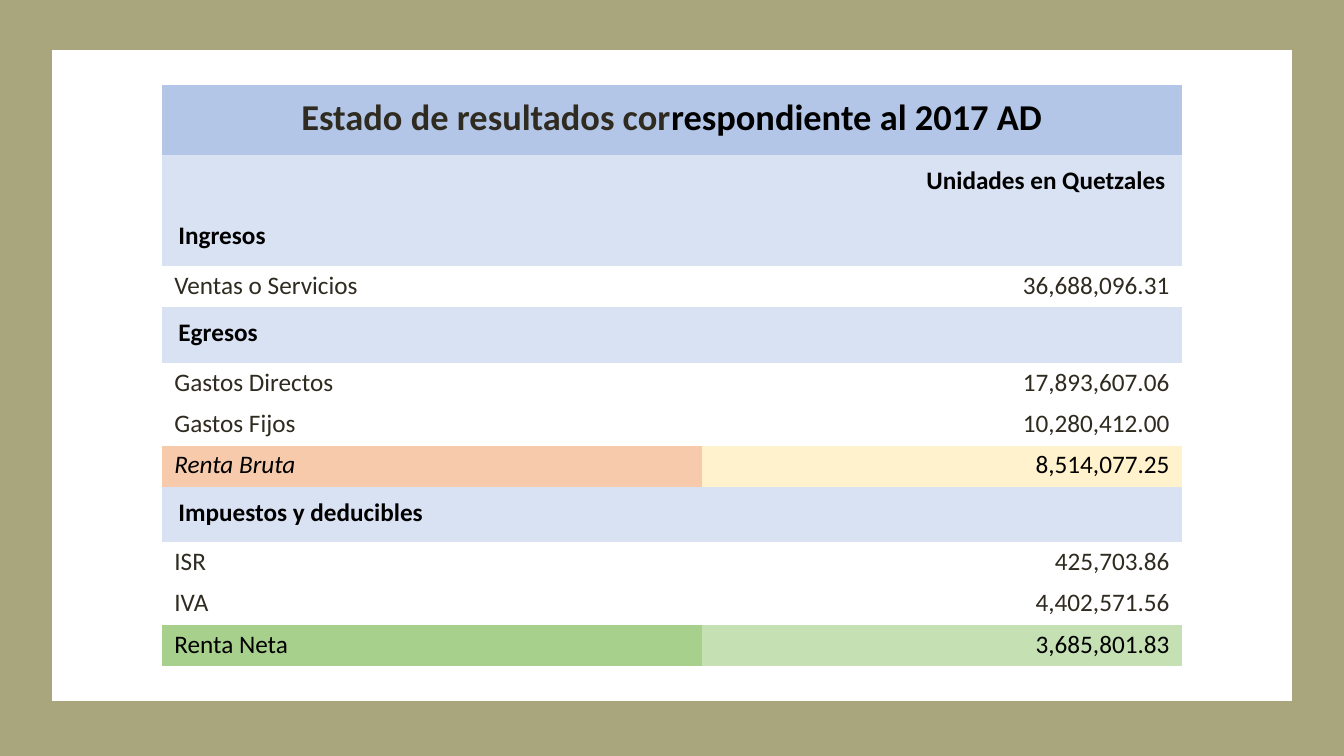
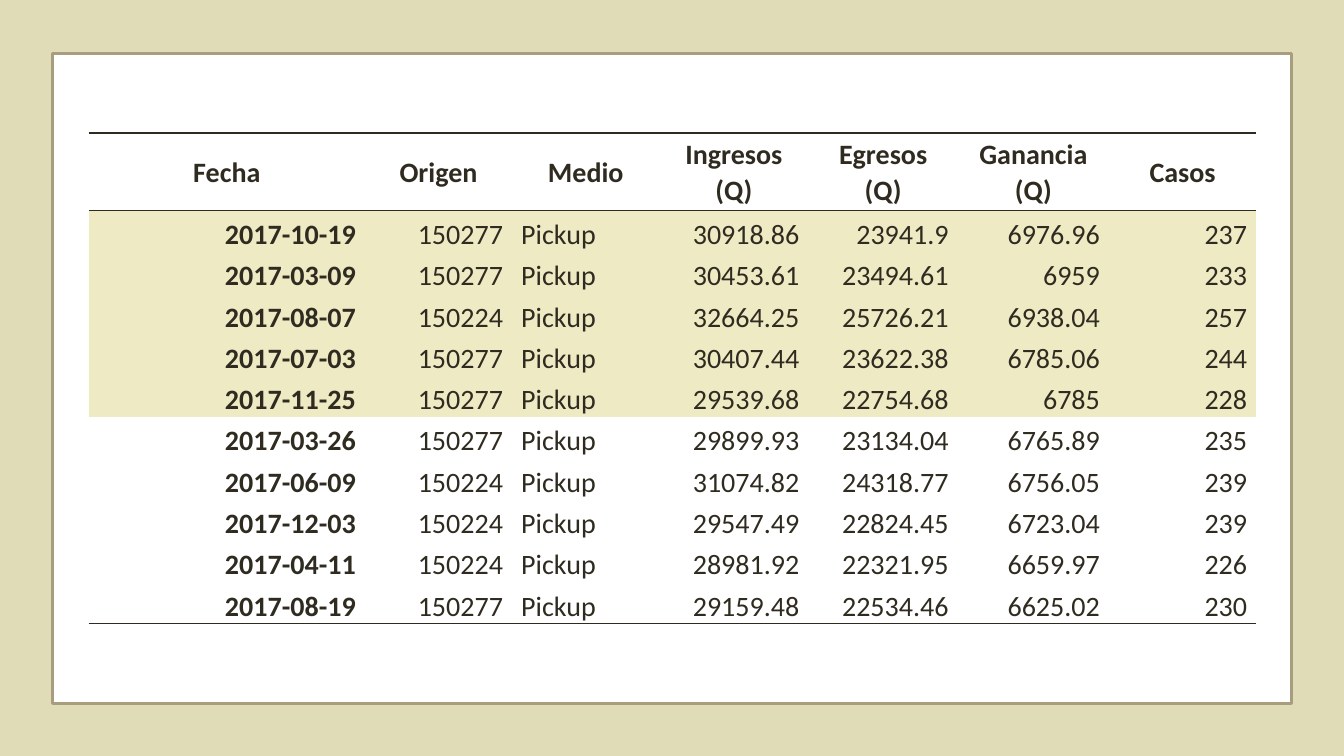
from dataclasses import dataclass

import pptx
import pptx.dml.color
import pptx.enum.shapes
import pptx.enum.text
import pptx.oxml
import pptx.oxml.ns
import pptx.util

Inches = pptx.util.Inches
Pt = pptx.util.Pt
ALIGN = pptx.enum.text.PP_ALIGN
ANCHOR = pptx.enum.text.MSO_ANCHOR

FONT = "Calibri"
WIDTH, HEIGHT = 13.33, 7.5
PLAIN_TABLE = "{2D5ABB26-0587-4C30-8999-92F81FD0307C}"
COLORS = {
    "ink": "2F2B20", "black": "000000", "white": "FFFFFF",
    "olive": "A9A57C", "sand": "DFDCB7", "frame": "A89D7F",
    "title": "B4C6E7", "section": "D9E2F3",
    "gross": "F7CAAC", "gross_value": "FFF2CC",
    "net": "A8D08D", "net_value": "C5E0B3", "top": "EDEAC4",
}


@dataclass
class Panel:
    back: str
    top: float
    line: str
    line_width: float


@dataclass
class CellStyle:
    size: int
    color: str = "ink"
    bold: bool = False
    italic: bool = False
    align: ALIGN = ALIGN.LEFT
    anchor: ANCHOR = ANCHOR.TOP
    fill: str | None = None
    margins: tuple[float, float] = (0.09, 0)  # sides, top
    bottom: float = 0
    space_after: int = 0
    borders: tuple[str, ...] = ()


@dataclass
class Line:
    """One row of the income statement; banner rows span both columns."""
    label: str
    value: str = ""
    color: str = "ink"
    fills: tuple[str | None, str | None] = (None, None)
    italic: bool = False


def rgb(name: str) -> pptx.dml.color.RGBColor:
    return pptx.dml.color.RGBColor.from_string(COLORS[name])


def add_rect(s, box: tuple, fill: str, line: str | None = None, width: float = 0):
    sp = s.shapes.add_shape(pptx.enum.shapes.MSO_SHAPE.RECTANGLE, *map(Inches, box))
    sp.shadow.inherit = False
    sp.fill.solid()
    sp.fill.fore_color.rgb = rgb(fill)
    if line:
        sp.line.color.rgb = rgb(line)
        sp.line.width = Pt(width)
    else:
        sp.line.fill.background()


def add_slide(prs, panel: Panel):
    s = prs.slides.add_slide(prs.slide_layouts[6])
    add_rect(s, (0, 0, WIDTH, HEIGHT), panel.back)
    add_rect(s, (0.52, panel.top, 12.29, 6.45), "white", panel.line, panel.line_width)
    return s


def add_table(s, left: float, top: float, cols: list[float], rows: list[float]):
    box = map(Inches, (left, top, sum(cols), sum(rows)))
    table = s.shapes.add_table(len(rows), len(cols), *box).table
    table.first_row = table.horz_banding = False
    table._tbl.tblPr.find(pptx.oxml.ns.qn("a:tableStyleId")).text = PLAIN_TABLE
    for col, width in zip(table.columns, cols):
        col.width = Inches(width)
    for row, height in zip(table.rows, rows):
        row.height = Inches(height)
    return table


def add_border(cell, index: int, side: str):
    ln = pptx.oxml.parse_xml(
        f'<a:ln{side} {pptx.oxml.ns.nsdecls("a")} w="{Pt(1)}"><a:solidFill>'
        f'<a:srgbClr val="{COLORS["ink"]}"/></a:solidFill></a:ln{side}>')
    cell._tc.get_or_add_tcPr().insert(index, ln)


def format_run(r, style: CellStyle, color: str):
    r.font.name = FONT
    r.font.size = Pt(style.size)
    r.font.bold = style.bold
    r.font.italic = style.italic
    r.font.color.rgb = rgb(color)


def fill_cell(cell, text: str, style: CellStyle):
    cell.text_frame.text = text
    cell.vertical_anchor = style.anchor
    side, top = style.margins
    cell.margin_left = cell.margin_right = Inches(side)
    cell.margin_top, cell.margin_bottom = Inches(top), Inches(style.bottom)
    p = cell.text_frame.paragraphs[0]
    p.alignment = style.align
    p.line_spacing = 1.07
    p.space_after = Pt(style.space_after)
    for r in p.runs:
        format_run(r, style, style.color)
    if style.fill:
        cell.fill.solid()
        cell.fill.fore_color.rgb = rgb(style.fill)
    else:
        cell.fill.background()
    for index, border in enumerate(style.borders):
        add_border(cell, index, border)


prs = pptx.Presentation()
prs.slide_width, prs.slide_height = Inches(WIDTH), Inches(HEIGHT)

# Income statement
TITLE, UNITS = "Estado de resultados cor", "Unidades en Quetzales"
STATEMENT = [
    Line(TITLE),
    Line(UNITS),
    Line("Ingresos"),
    Line("Ventas o Servicios", "36,688,096.31"),
    Line("Egresos"),
    Line("Gastos Directos", "17,893,607.06"),
    Line("Gastos Fijos", "10,280,412.00"),
    Line("Renta Bruta", "8,514,077.25", "black", ("gross", "gross_value"), True),
    Line("Impuestos y deducibles"),
    Line("ISR", "425,703.86"),
    Line("IVA", "4,402,571.56"),
    Line("Renta Neta", "3,685,801.83", "black", ("net", "net_value")),
]

s = add_slide(prs, Panel("olive", 0.5, "white", 0.85))
heights = [0.41 if line.value else 0.55 for line in STATEMENT]
heights[0] = 0.7
table = add_table(s, 1.61, 0.84, [5.35, 4.76], heights)
banner_aligns = {TITLE: ALIGN.CENTER, UNITS: ALIGN.RIGHT}
for i, line in enumerate(STATEMENT):
    label, value = table.cell(i, 0), table.cell(i, 1)
    if line.value:
        for cell, text, fill, align in zip(
                (label, value), (line.label, line.value), line.fills,
                (ALIGN.LEFT, ALIGN.RIGHT)):
            fill_cell(cell, text, CellStyle(
                18, line.color, italic=line.italic and cell is label, align=align,
                fill=fill, margins=(0.12, 0.02), space_after=8))
    else:
        label.merge(value)
        is_title = line.label == TITLE
        style = CellStyle(
            26 if is_title else 18, "ink" if is_title else "black", bold=True,
            align=banner_aligns.get(line.label, ALIGN.LEFT),
            fill="title" if is_title else "section",
            margins=(0.16, 0.08), bottom=0.08, space_after=8)
        fill_cell(label, line.label, style)
        if is_title:
            r = label.text_frame.paragraphs[0].add_run()
            r.text = "respondiente al 2017 AD"
            format_run(r, style, "black")

# Ten best days
HEADERS = ["Fecha", "Origen", "Medio", "Ingresos (Q)", "Egresos (Q)",
           "Ganancia (Q)", "Casos"]
DAYS = [
    ("2017-10-19", "150277", "Pickup", "30918.86", "23941.9", "6976.96", "237"),
    ("2017-03-09", "150277", "Pickup", "30453.61", "23494.61", "6959", "233"),
    ("2017-08-07", "150224", "Pickup", "32664.25", "25726.21", "6938.04", "257"),
    ("2017-07-03", "150277", "Pickup", "30407.44", "23622.38", "6785.06", "244"),
    ("2017-11-25", "150277", "Pickup", "29539.68", "22754.68", "6785", "228"),
    ("2017-03-26", "150277", "Pickup", "29899.93", "23134.04", "6765.89", "235"),
    ("2017-06-09", "150224", "Pickup", "31074.82", "24318.77", "6756.05", "239"),
    ("2017-12-03", "150224", "Pickup", "29547.49", "22824.45", "6723.04", "239"),
    ("2017-04-11", "150224", "Pickup", "28981.92", "22321.95", "6659.97", "226"),
    ("2017-08-19", "150277", "Pickup", "29159.48", "22534.46", "6625.02", "230"),
]
HIGHLIGHTED = 5

s = add_slide(prs, Panel("sand", 0.53, "frame", 2.5))
table = add_table(s, 0.88, 1.32, [2.74, 1.46, 1.46, 1.48, 1.48, 1.5, 1.46],
                  [0.77] + [0.41] * len(DAYS))
header_style = CellStyle(20, bold=True, align=ALIGN.CENTER, anchor=ANCHOR.MIDDLE,
                         borders=("T", "B"))
for j, header in enumerate(HEADERS):
    fill_cell(table.cell(0, j), header, header_style)
for i, day in enumerate(DAYS, start=1):
    for j, text in enumerate(day):
        fill_cell(table.cell(i, j), text, CellStyle(
            20, bold=HEADERS[j] == "Fecha",
            align=ALIGN.LEFT if HEADERS[j] == "Medio" else ALIGN.RIGHT,
            anchor=ANCHOR.BOTTOM,
            fill="top" if i <= HIGHLIGHTED else "white",
            borders=("B",) if i == len(DAYS) else ()))

prs.save("out.pptx")
